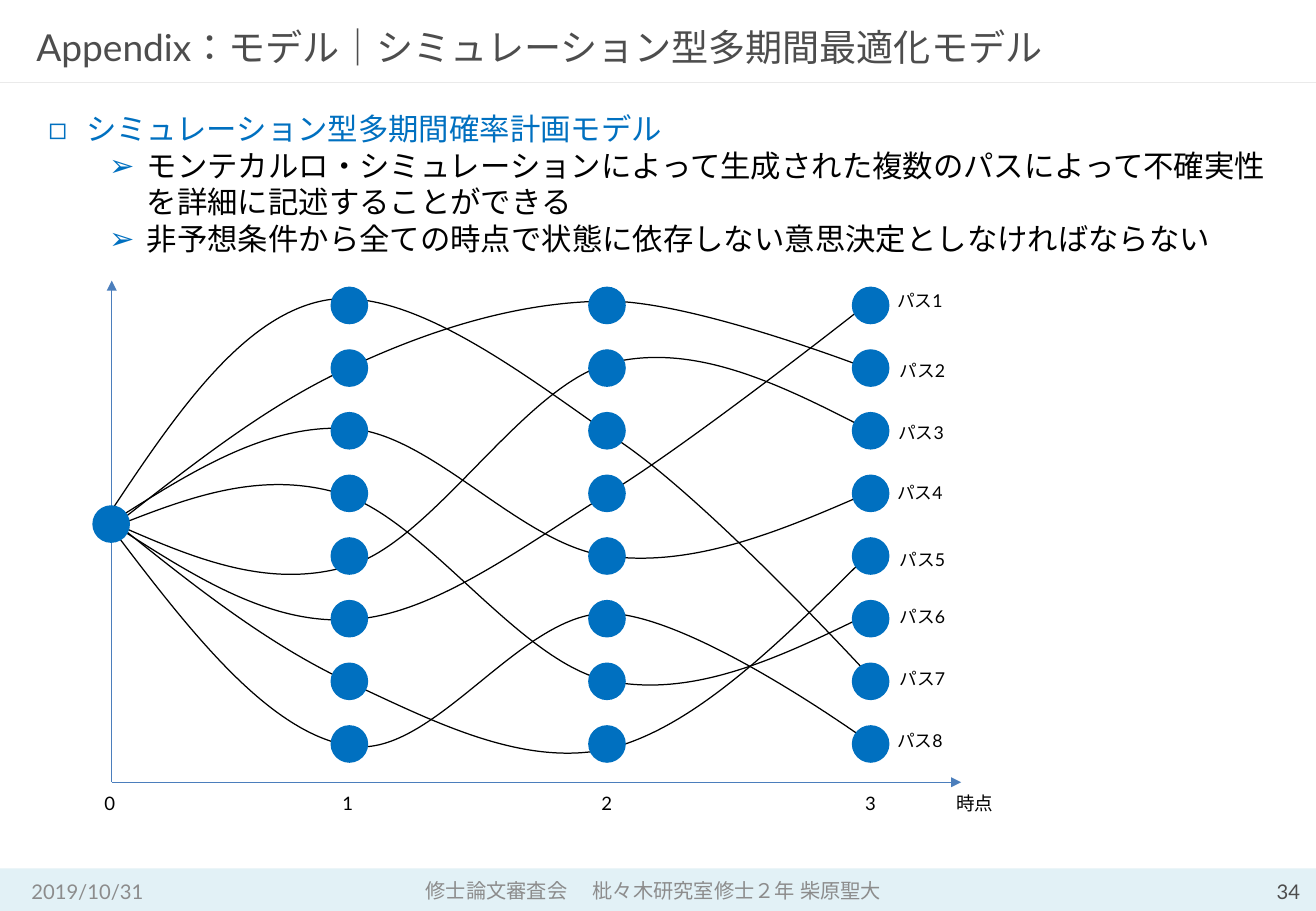
"""Build the appendix slide on the multi-period simulation model."""
import pptx
import pptx.util
import pptx.dml.color
import pptx.enum.shapes
import pptx.enum.text
import pptx.oxml.ns
from lxml import etree

Inches = pptx.util.Inches
Pt = pptx.util.Pt
Align = pptx.enum.text.PP_ALIGN
Anchor = pptx.enum.text.MSO_ANCHOR
Shape = pptx.enum.shapes.MSO_SHAPE

COLORS = {
    "blue": "0070C0", "axis": "4B7EBC", "black": "000000", "title": "4D4D4D",
    "gray": "8C8C8C", "rule": "EAEAEA", "band": "DBEEF4",
}
FONT = "Lato"
DOT = 0.31
TOP, BOTTOM, ROWS = 2.36, 5.97, 8
STAGES = [2.72, 4.84, 7.01]
TICKS = [("0", 0.76, 0.28), ("1", 2.72, 0.28), ("2", 4.85, 0.28),
         ("3", 7.02, 0.28), ("時点", 7.77, 0.51)]
LABELS = [(7.25, 2.34), (7.27, 2.91), (7.26, 3.42), (7.25, 3.92),
          (7.27, 4.47), (7.27, 4.94), (7.27, 5.45), (7.25, 5.96)]
BULLETS = [
    ("シミュレーション型多期間確率計画モデル", 0, "◻", "blue"),
    ("モンテカルロ・シミュレーションによって生成された複数のパスによって"
     "不確実性を詳細に記述することができる", 1, "➢", "black"),
    ("非予想条件から全ての時点で状態に依存しない意思決定としなければならない",
     1, "➢", "black"),
]
CURVES = [
    [(0.9, 4.31), (1.55, 3.9), (2.19, 3.48), (2.88, 3.53), (3.56, 3.57),
     (4.3, 4.5), (5.01, 4.58), (5.72, 4.67), (6.43, 4.37), (7.14, 4.06)],
    [(0.93, 4.34), (1.54, 4.1), (2.15, 3.86), (2.82, 4.07), (3.5, 4.28),
     (4.26, 5.43), (4.98, 5.6), (5.7, 5.76), (6.42, 5.41), (7.14, 5.06)],
    [(0.94, 4.31), (1.58, 4.59), (2.22, 4.87), (2.9, 4.65), (3.58, 4.43),
     (4.31, 3.18), (5.02, 2.99), (5.73, 2.81), (6.45, 3.18), (7.17, 3.55)],
    [(0.97, 4.32), (1.59, 4.82), (2.22, 5.32), (2.9, 5.63), (3.57, 5.94),
     (4.32, 6.33), (5.03, 6.16), (5.73, 5.98), (6.44, 5.27), (7.15, 4.56)],
    [(0.89, 4.31), (1.54, 5.17), (2.19, 6.02), (2.87, 6.14), (3.55, 6.27),
     (4.27, 5.05), (4.99, 5.05), (5.7, 5.05), (7.18, 6.13), (7.18, 6.13)],
    [(0.95, 4.33), (1.59, 4.74), (2.22, 5.15), (2.9, 5.1), (3.57, 5.06),
     (4.3, 4.5), (5.01, 4.06), (5.71, 3.63), (7.14, 2.5), (7.14, 2.5)],
    [(0.95, 4.32), (1.59, 3.82), (2.23, 3.31), (2.91, 3.01), (3.58, 2.7),
     (4.3, 2.48), (5.01, 2.48), (5.71, 2.48), (7.13, 3.03), (7.13, 3.03)],
    [(0.84, 4.32), (1.41, 3.46), (1.98, 2.59), (2.69, 2.47), (3.4, 2.36),
     (4.36, 3.12), (5.11, 3.64), (5.86, 4.15), (7.17, 5.58), (7.17, 5.58)],
]


def rgb(name):
    """Return a named colour."""
    return pptx.dml.color.RGBColor.from_string(COLORS[name])


def add_tag(parent, tag, **attrs):
    """Append a drawing element."""
    return etree.SubElement(parent, pptx.oxml.ns.qn(tag), attrs)


def write(par, text, size=11, color="black", align=Align.LEFT):
    """Put formatted text in a paragraph."""
    par.alignment = align
    run = par.add_run()
    run.text = text
    run.font.size = Pt(size)
    run.font.name = FONT
    run.font.color.rgb = rgb(color)
    props = run._r.get_or_add_rPr()
    props.set("lang", "ja-JP")
    add_tag(props, "a:ea", typeface=FONT)


def set_frame(frame, anchor=Anchor.TOP, wrap=True, inset=None):
    """Set the layout of a text frame."""
    frame.auto_size = pptx.enum.text.MSO_AUTO_SIZE.NONE
    frame.word_wrap = wrap
    frame.vertical_anchor = anchor
    if inset is not None:
        frame.margin_left = frame.margin_right = Inches(inset)
        frame.margin_top = frame.margin_bottom = Inches(inset)


def add_text(slide, text, box, anchor=Anchor.TOP, wrap=True, inset=None, **style):
    """Add a text box with one paragraph."""
    frame = slide.shapes.add_textbox(*map(Inches, box)).text_frame
    set_frame(frame, anchor, wrap, inset)
    write(frame.paragraphs[0], text, **style)


def add_fill(slide, kind, box, color):
    """Add a filled shape without an outline."""
    shape = slide.shapes.add_shape(kind, *map(Inches, box))
    shape.shadow.inherit = False
    shape.fill.solid()
    shape.fill.fore_color.rgb = rgb(color)
    shape.line.fill.background()
    return shape


def add_line(slide, start, end, color, arrow=False):
    """Add a straight line, with an arrowhead if asked."""
    kind = pptx.enum.shapes.MSO_CONNECTOR.STRAIGHT
    line = slide.shapes.add_connector(kind, *map(Inches, start + end))
    line.line.color.rgb = rgb(color)
    line.line.width = Pt(0.75)
    if arrow:
        add_tag(line.line._get_or_add_ln(), "a:tailEnd", type="triangle")
    add_tag(line._element.spPr, "a:effectLst")


def bezier(knots, t):
    """Return the point at t on a cubic curve."""
    parts = ((1 - t) ** 3, 3 * t * (1 - t) ** 2, 3 * t * t * (1 - t), t ** 3)
    return tuple(sum(w * k[i] for w, k in zip(parts, knots)) for i in (0, 1))


def add_curve(slide, knots, steps=24):
    """Draw one path as cubic curves in a box that fits it."""
    points = [bezier(knots[i:i + 4], n / steps)
              for i in range(0, len(knots) - 1, 3) for n in range(steps + 1)]
    xs, ys = zip(*points)
    pen = slide.shapes.build_freeform(Inches(min(xs)), Inches(min(ys)))
    pen.add_line_segments([(Inches(max(xs)), Inches(max(ys)))], close=False)
    curve = pen.convert_to_shape()
    outline = curve._element.find(".//" + pptx.oxml.ns.qn("a:path"))
    for part in list(outline):
        outline.remove(part)
    move = add_tag(outline, "a:moveTo")
    for i, (x, y) in enumerate(knots):
        if i % 3 == 1:
            bend = add_tag(outline, "a:cubicBezTo")
        add_tag(bend if i else move, "a:pt", x=str(Inches(x) - curve.left),
                y=str(Inches(y) - curve.top))
    curve.shadow.inherit = False
    curve.fill.background()
    curve.line.color.rgb = rgb("black")
    curve.line.width = Pt(0.75)


def add_title(slide, text):
    """Place and fill the title."""
    title = slide.shapes.title
    title.left, title.top, title.width, title.height = map(
        Inches, (0.3, 0.17, 10.24, 0.43))
    set_frame(title.text_frame, Anchor.MIDDLE, inset=0)
    write(title.text_frame.paragraphs[0], text, size=22, color="title")


def add_bullets(slide):
    """Add the bulleted points."""
    box = slide.shapes.add_textbox(*map(Inches, (0.3, 0.86, 10.24, 1.31)))
    frame = box.text_frame
    set_frame(frame)
    for i, (text, level, mark, color) in enumerate(BULLETS):
        par = frame.add_paragraph() if i else frame.paragraphs[0]
        write(par, text, size=18, color=color)
        par.level = level
        props = par._p.get_or_add_pPr()
        props.set("marL", str(Inches(0.31 + 0.5 * level)))
        props.set("indent", str(Inches(-0.31)))
        add_tag(add_tag(props, "a:buClr"), "a:srgbClr", val=COLORS["blue"])
        add_tag(props, "a:buFont", typeface=FONT)
        add_tag(props, "a:buChar", char=mark)


def add_frame(slide):
    """Add the header rule and the footer."""
    band = add_fill(slide, Shape.ROUNDED_RECTANGLE, (0, 7.15, 10.83, 0.36), "band")
    band.adjustments[0] = 0
    tint = band._element.spPr.find(".//" + pptx.oxml.ns.qn("a:srgbClr"))
    add_tag(tint, "a:alpha", val="80000")
    add_line(slide, (0, 0.68), (10.83, 0.68), "rule")
    middle = {"anchor": Anchor.MIDDLE, "size": 12}
    add_text(slide, "2019/10/31", (0.16, 7.23, 2.44, 0.22), color="gray", **middle)
    add_text(slide, "修士論文審査会　 枇々木研究室修士２年 柴原聖大",
             (2.6, 7.22, 5.56, 0.23), color="gray", align=Align.CENTER, **middle)
    add_text(slide, "34", (8.17, 7.24, 2.53, 0.2), inset=0, color="title",
             align=Align.RIGHT, **middle)


def add_paths(slide):
    """Draw the simulated paths, axes, nodes and labels."""
    for knots in CURVES:
        add_curve(slide, knots)
    for end in ((7.91, 6.44), (0.92, 2.31)):
        add_line(slide, (0.92, 6.44), end, "axis", arrow=True)
    gap = (BOTTOM - TOP) / (ROWS - 1)
    nodes = [(x, TOP + row * gap) for x in STAGES for row in range(ROWS)]
    for x, y in [(0.76, 4.16)] + nodes:
        add_fill(slide, Shape.OVAL, (x, y, DOT, DOT), "blue")
    for text, x, width in TICKS:
        add_text(slide, text, (x, 6.47, width, 0.29), wrap=False)
    for i, (x, y) in enumerate(LABELS, 1):
        add_text(slide, f"パス{i}", (x, y, 0.64, 0.29), size=10.5, align=Align.CENTER)


def main():
    """Build and save the slide."""
    deck = pptx.Presentation()
    deck.slide_width, deck.slide_height = Inches(10.83), Inches(7.5)
    slide = deck.slides.add_slide(deck.slide_layouts[5])
    add_frame(slide)
    add_title(slide, "Appendix：モデル｜シミュレーション型多期間最適化モデル")
    add_bullets(slide)
    add_paths(slide)
    deck.save("out.pptx")


if __name__ == "__main__":
    main()
